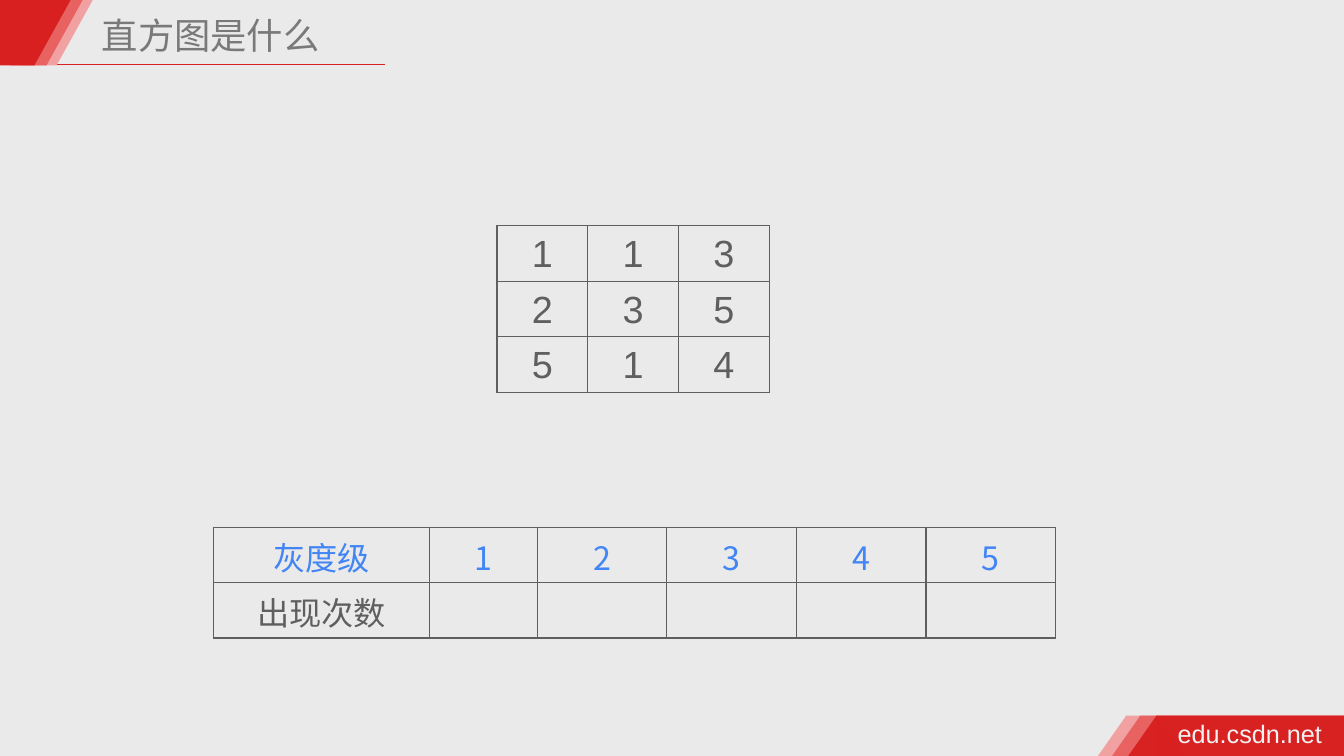
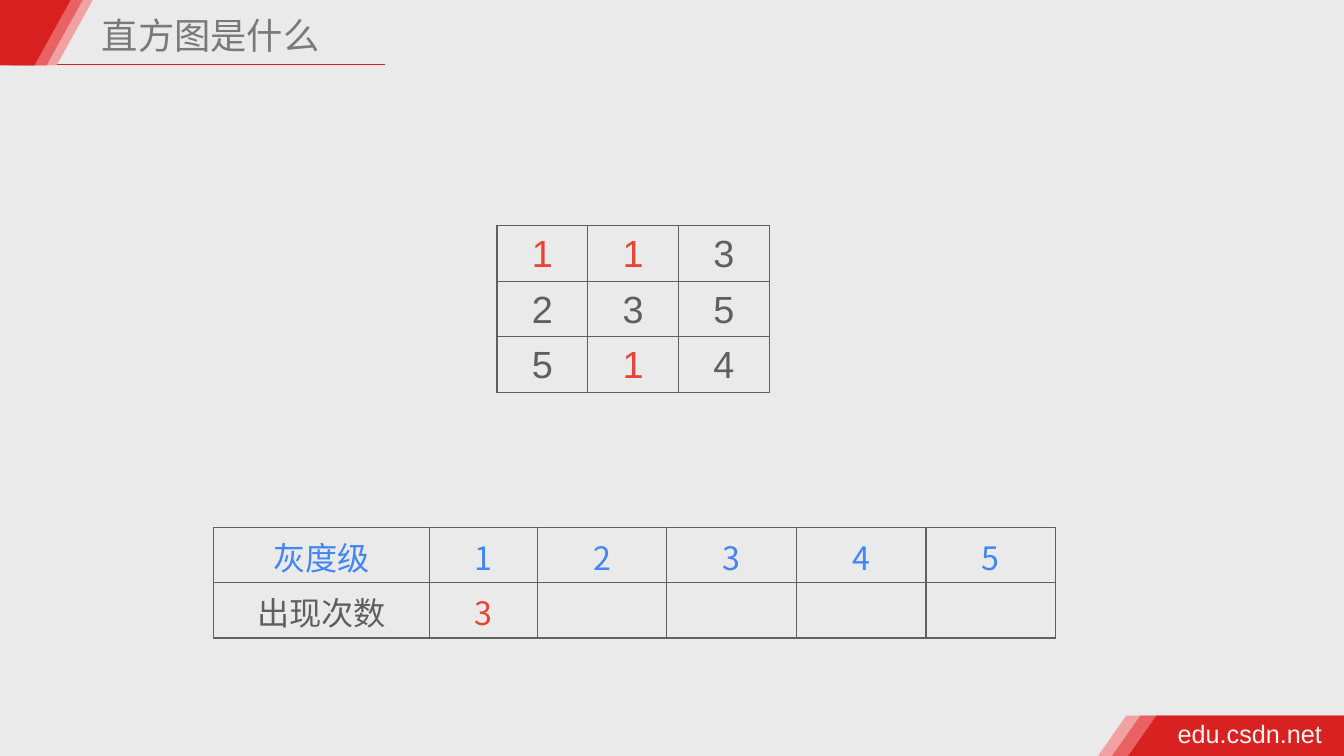
from dataclasses import dataclass

from lxml import etree
from pptx import Presentation
from pptx import util as u
from pptx.dml import color as dml
from pptx.enum import shapes, text
from pptx.oxml import ns


@dataclass(frozen=True)
class Theme:
    background: str = "EAEAEA"
    bands: tuple = ("F1A1A1", "E86262", "D82020")
    accent: str = "D82020"
    title: str = "797979"
    body: str = "5F5F5F"
    level: str = "4285F4"
    highlight: str = "EA4335"
    footer: str = "F2F2F2"
    latin: str = "Arial"
    chinese: str = "Noto Sans CJK SC"
    title_size: float = 25.9
    pixel_size: float = 27
    count_size: float = 23
    footer_size: float = 18


THEME = Theme()
WIDTH, HEIGHT = 13.33, 7.5
PIXELS = [[1, 1, 3], [2, 3, 5], [5, 1, 4]]
LEVELS = [1, 2, 3, 4, 5]


def rgb(value):
    return dml.RGBColor.from_string(value)


def write_text(frame, content, *, size, color, font=THEME.latin,
               align=text.PP_ALIGN.LEFT, spacing=None):
    paragraph = frame.paragraphs[0]
    paragraph.alignment = align
    paragraph.line_spacing = spacing
    run = paragraph.add_run()
    run.text = content
    run.font.size = u.Pt(size)
    run.font.color.rgb = rgb(color)
    run.font.name = font
    east_asian = etree.SubElement(run.font._element, ns.qn("a:ea"))
    east_asian.set("typeface", font)


class Deck:
    def __init__(self, theme):
        self.theme = theme
        self.presentation = Presentation()
        self.presentation.slide_width = u.Inches(WIDTH)
        self.presentation.slide_height = u.Inches(HEIGHT)
        fill = self.presentation.slide_master.background.fill
        fill.solid()
        fill.fore_color.rgb = rgb(theme.background)
        self.slide = None

    def add_slide(self, title):
        blank = self.presentation.slide_layouts[6]
        self.slide = self.presentation.slides.add_slide(blank)
        self.line(0.49, 0.64, 3.82, 0.64)
        self.footer("edu.csdn.net")
        self.header(title)

    def line(self, x1, y1, x2, y2):
        connector = self.slide.shapes.add_connector(
            shapes.MSO_CONNECTOR.STRAIGHT, *map(u.Inches, (x1, y1, x2, y2)))
        connector.line.color.rgb = rgb(self.theme.accent)
        connector.line.width = u.Pt(1)
        etree.SubElement(connector._element.spPr, ns.qn("a:effectLst"))

    def shape(self, kind, left, top, width, height, color, opacity=100):
        shape = self.slide.shapes.add_shape(
            kind, *map(u.Inches, (left, top, width, height)))
        shape.shadow.inherit = False
        shape.fill.solid()
        shape.fill.fore_color.rgb = rgb(color)
        shape.line.fill.background()
        if opacity < 100:
            fill_color = shape._element.spPr.find(".//" + ns.qn("a:srgbClr"))
            alpha = etree.SubElement(fill_color, ns.qn("a:alpha"))
            alpha.set("val", str(opacity * 1000))
        return shape

    def text_box(self, content, left, top, width, height, *, wrap=True,
                 anchor=text.MSO_ANCHOR.TOP, **style):
        box = self.slide.shapes.add_textbox(
            *map(u.Inches, (left, top, width, height)))
        frame = box.text_frame
        frame.word_wrap = wrap
        frame.vertical_anchor = anchor
        frame.margin_left = frame.margin_right = u.Inches(0.05)
        frame.margin_top = frame.margin_bottom = u.Inches(0.05)
        write_text(frame, content, **style)

    # Each band is a rectangle with a triangle as its slanted end
    def header(self, title):
        height, apex = 0.65, 0.36
        for left, color in zip((0.2, 0.1, -0.02), self.theme.bands):
            start = max(left, 0)
            self.shape(shapes.MSO_SHAPE.RECTANGLE, start, 0,
                       left + apex - start, height, color)
            triangle = self.shape(shapes.MSO_SHAPE.ISOSCELES_TRIANGLE, left, 0,
                                  2 * apex, height, color)
            triangle.rotation = 180
        self.text_box(title, 0.96, 0.05, 3.86, 0.56,
                      anchor=text.MSO_ANCHOR.MIDDLE, spacing=1.1,
                      size=self.theme.title_size, color=self.theme.title,
                      font=self.theme.chinese)

    def footer(self, address):
        height, apex = 0.4, 0.28
        top = HEIGHT - height
        bands = zip((10.89, 11.03, 11.19), self.theme.bands, (100, 100, 97))
        for left, color, opacity in bands:
            self.shape(shapes.MSO_SHAPE.RECTANGLE, left + apex, top,
                       WIDTH - left - apex, height, color, opacity)
            self.shape(shapes.MSO_SHAPE.ISOSCELES_TRIANGLE, left, top,
                       2 * apex, height, color, opacity)
        self.text_box(address, 11.63, 7.08, 1.55, 0.4, wrap=False,
                      size=self.theme.footer_size, color=self.theme.footer)

    def table(self, left, top, columns, row_height, rows, *, margin, color_of,
              **style):
        """Draw rows of values; color_of(row, column, value) colours each."""
        frame = self.slide.shapes.add_table(
            len(rows), len(columns), u.Inches(left), u.Inches(top),
            u.Inches(sum(columns)), u.Inches(row_height * len(rows)))
        table = frame.table
        table.first_row = table.horz_banding = False
        for column, width in zip(table.columns, columns):
            column.width = u.Inches(width)
        for row, values in enumerate(rows):
            table.rows[row].height = u.Inches(row_height)
            for column, value in enumerate(values):
                cell = table.cell(row, column)
                cell.vertical_anchor = text.MSO_ANCHOR.MIDDLE
                cell.margin_left = cell.margin_right = u.Inches(margin)
                cell.margin_top, cell.margin_bottom = u.Inches(margin), 0
                self.cell_borders(cell)
                cell.fill.background()
                if value is not None:
                    write_text(cell.text_frame, str(value),
                               color=color_of(row, column, value),
                               align=text.PP_ALIGN.CENTER, **style)

    def cell_borders(self, cell):
        properties = cell._tc.get_or_add_tcPr()
        for side in ("lnL", "lnR", "lnT", "lnB"):
            border = etree.SubElement(properties, ns.qn("a:" + side))
            border.set("w", str(u.Pt(1)))
            fill = etree.SubElement(border, ns.qn("a:solidFill"))
            color = etree.SubElement(fill, ns.qn("a:srgbClr"))
            color.set("val", self.theme.body)


def histogram_slide(deck, counted=()):
    """Show the pixels and the count of each grey level counted so far."""
    theme = deck.theme
    deck.add_slide("直方图是什么")

    # Pixel grid
    def pixel_color(row, column, value):
        return theme.highlight if value in counted else theme.body

    deck.table(4.93, 2.24, [0.9] * 3, 0.55, PIXELS, margin=0.02,
               color_of=pixel_color, size=theme.pixel_size)

    # Count of each grey level
    counts = [sum(row.count(level) for row in PIXELS)
              if level in counted else None for level in LEVELS]

    def count_color(row, column, value):
        if row == 0:
            return theme.level
        return theme.highlight if column else theme.body

    label_width, first_width, total_width = 2.14, 1.07, 8.35
    level_width = (total_width - label_width - first_width) / 4
    deck.table(2.12, 5.23, [label_width, first_width] + [level_width] * 4, 0.55,
               [["灰度级", *LEVELS], ["出现次数", *counts]], margin=0.03,
               color_of=count_color, size=theme.count_size, font=theme.chinese)


def main():
    deck = Deck(THEME)
    histogram_slide(deck)
    histogram_slide(deck, counted=(1,))
    deck.presentation.save("out.pptx")


if __name__ == "__main__":
    main()
